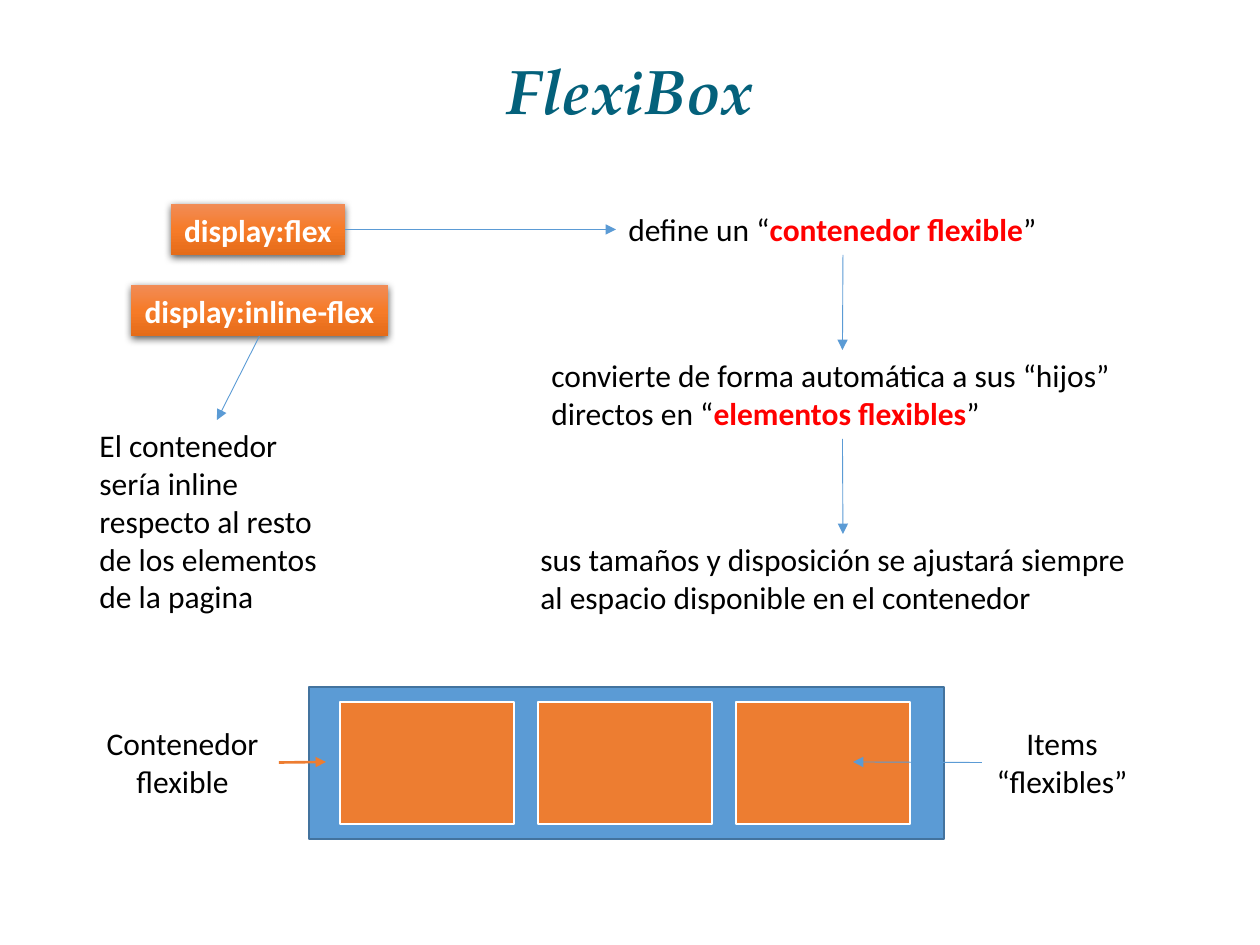
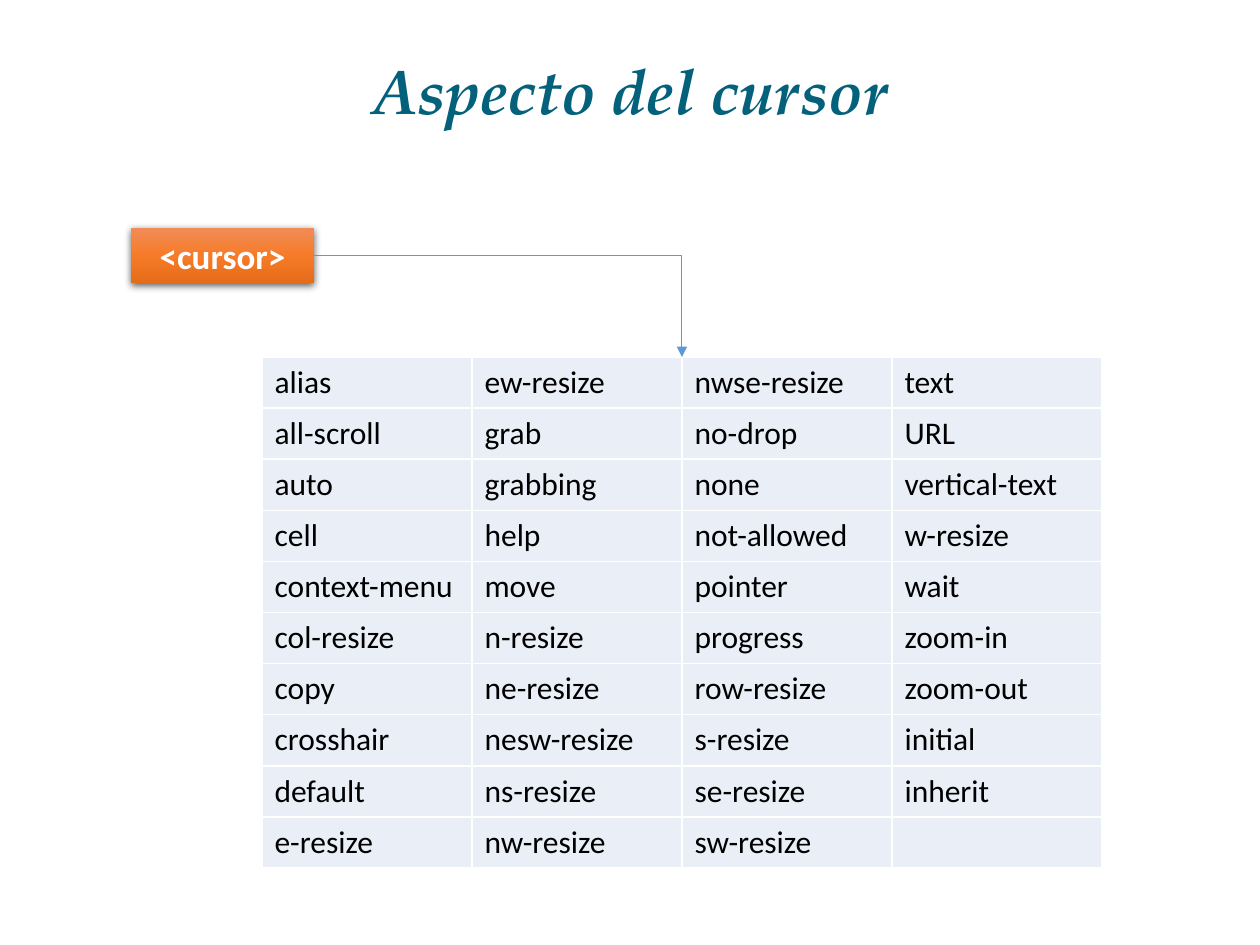
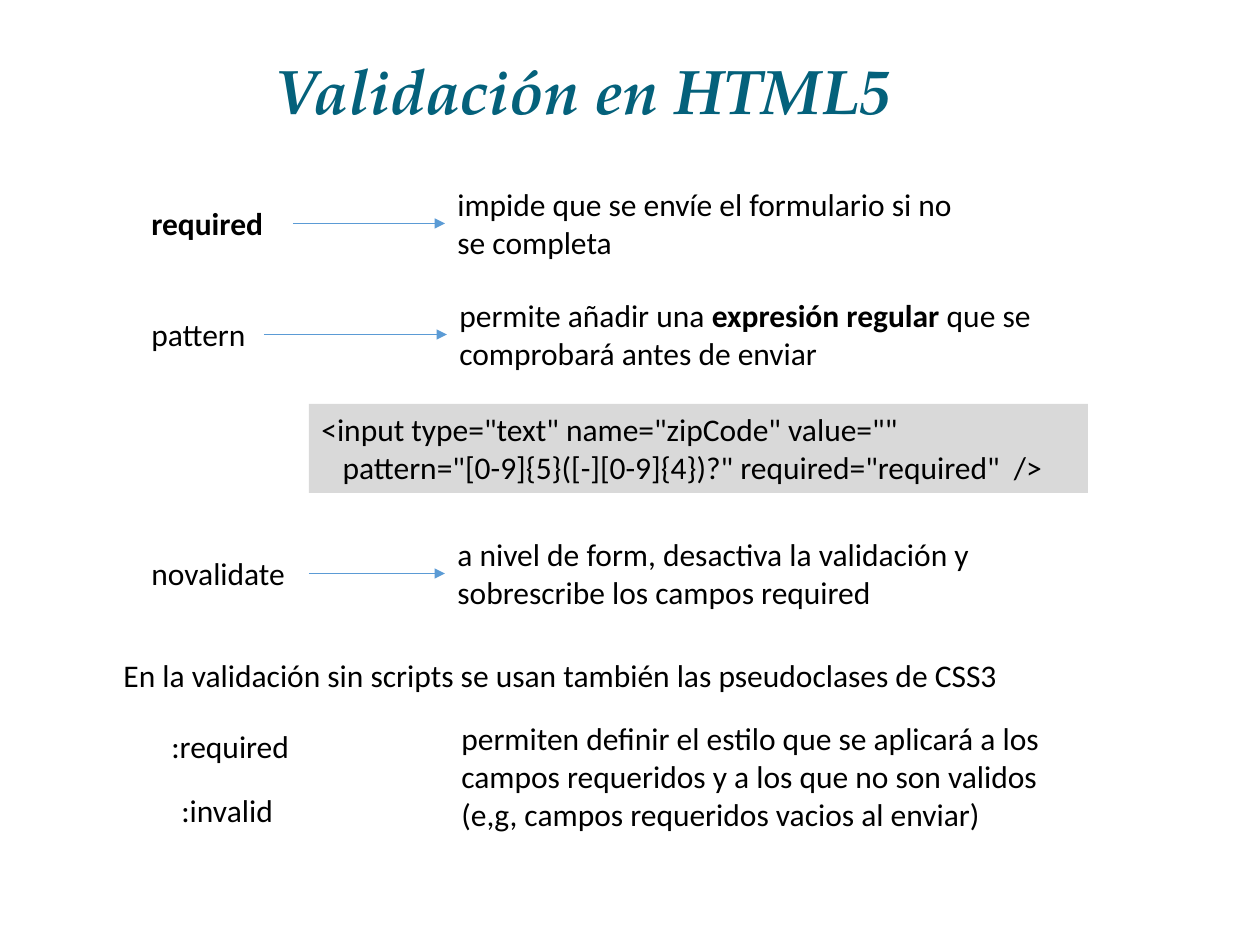
from dataclasses import dataclass

from lxml.etree import SubElement
from pptx import Presentation
from pptx.dml.color import RGBColor
from pptx.enum.shapes import MSO_CONNECTOR, MSO_SHAPE
from pptx.enum.text import MSO_ANCHOR, PP_ALIGN
from pptx.oxml.ns import qn
from pptx.util import Emu, Pt

TOP, LEFT, BOTTOM, RIGHT = range(4)
TITLE_ONLY = 5
LINE = 51
TWO_LINES = 89


@dataclass(frozen=True)
class Theme:
    title_font: str = "TeX Gyre Pagella"
    body_font: str = "Calibri"
    title_size: int = 36
    button_size: int = 20
    body_size: int = 18
    title: str = "04617B"
    text: str = "000000"
    alert: str = "FF0000"
    white: str = "FFFFFF"
    blue: str = "5B9BD5"
    dark_blue: str = "43739E"
    orange: str = "ED7D31"
    pale_blue: str = "EAEFF7"
    code_grey: str = "D9D9D9"
    button_stops: tuple = ((0, "F18C57"), (50, "F67B28"), (100, "E56C19"))


THEME = Theme()


@dataclass(frozen=True)
class Box:
    left: int
    top: int
    width: int
    height: int

    def inner(self, left, top, width, height):
        """Return a box whose corner is measured from this box."""
        return Box(self.left + left, self.top + top, width, height)

    def point(self, left, top):
        return self.left + left, self.top + top

    def emu(self):
        return px(self.left), px(self.top), px(self.width), px(self.height)


def px(length):
    return Emu(round(length * 914400 / 126))


def rgb(code):
    return RGBColor.from_string(code)


def write(frame, text, *, size=THEME.body_size, font=THEME.body_font, color=THEME.text,
          bold=False, italic=False, accent=None, align=PP_ALIGN.LEFT, wrap=True, spacing=None):
    """Fill a text frame; newlines split paragraphs and ** marks emphasis."""
    frame.word_wrap = wrap
    for index, line in enumerate(text.split("\n")):
        para = frame.add_paragraph() if index else frame.paragraphs[0]
        para.alignment = align
        if spacing:
            para.line_spacing = spacing
        for number, piece in enumerate(line.split("**")):
            if not piece:
                continue
            strong = number % 2 == 1
            span = para.add_run()
            span.text = piece
            span.font.name = font
            span.font.size = Pt(size)
            span.font.bold = bold or strong
            span.font.italic = italic
            span.font.color.rgb = rgb(accent if strong and accent else color)


def add_label(page, box, text, fill=None, **style):
    label = page.shapes.add_textbox(*box.emu())
    if fill:
        label.fill.solid()
        label.fill.fore_color.rgb = rgb(fill)
    write(label.text_frame, text, **style)
    return label


def add_block(page, box, fill, line, width):
    block = page.shapes.add_shape(MSO_SHAPE.RECTANGLE, *box.emu())
    block.shadow.inherit = False
    block.fill.solid()
    block.fill.fore_color.rgb = rgb(fill)
    block.line.color.rgb = rgb(line)
    block.line.width = Pt(width)
    return block


def add_button(page, box, text, **style):
    """Add an orange gradient rectangle with a soft shadow below it."""
    button = page.shapes.add_shape(MSO_SHAPE.RECTANGLE, *box.emu())
    button.line.fill.background()
    button.fill.gradient()
    button.fill.gradient_angle = 270
    properties = button.element.spPr
    stops = properties.find(qn("a:gradFill")).find(qn("a:gsLst"))
    stops.clear()
    for position, color in THEME.button_stops:
        stop = SubElement(stops, qn("a:gs"), pos=str(position * 1000))
        SubElement(stop, qn("a:srgbClr"), val=color)
    button.shadow.inherit = False
    shadow = SubElement(properties.find(qn("a:effectLst")), qn("a:outerShdw"),
                        blurRad=str(Pt(4.5)), dist=str(Pt(1.5)), dir="5400000",
                        algn="ctr", rotWithShape="0")
    shade = SubElement(shadow, qn("a:srgbClr"), val="000000")
    SubElement(shade, qn("a:alpha"), val="63000")
    write(button.text_frame, text, color=THEME.white, bold=True,
          align=PP_ALIGN.CENTER, wrap=False, **style)
    return button


def side_middle(shape, side):
    across = {LEFT: 0, RIGHT: shape.width}.get(side, shape.width // 2)
    down = {TOP: 0, BOTTOM: shape.height}.get(side, shape.height // 2)
    return shape.left + across, shape.top + down


def add_arrow(page, start, end, color=THEME.blue, width=0.5, bent=False):
    """Draw an arrow; each end is an (x, y) point or a (shape, side) pair."""
    ends = [(px(a), px(b)) if isinstance(a, int) else side_middle(a, b)
            for a, b in (start, end)]
    kind = MSO_CONNECTOR.ELBOW if bent else MSO_CONNECTOR.STRAIGHT
    arrow = page.shapes.add_connector(kind, *ends[0], *ends[1])
    properties = arrow.element.spPr
    if bent:
        properties.find(qn("a:prstGeom")).set("prst", "bentConnector2")
    else:
        for (target, side), connect in ((start, arrow.begin_connect), (end, arrow.end_connect)):
            if not isinstance(target, int):
                connect(target, side)
    arrow.line.color.rgb = rgb(color)
    arrow.line.width = Pt(width)
    SubElement(properties.find(qn("a:ln")), qn("a:tailEnd"), type="triangle")
    SubElement(properties, qn("a:effectLst"))


def add_page(deck, title, width=1086):
    page = deck.slides.add_slide(deck.slide_layouts[TITLE_ONLY])
    holder = page.shapes.title
    holder.left, holder.top, holder.width, holder.height = Box(87, 50, width, 88).emu()
    holder.text_frame.vertical_anchor = MSO_ANCHOR.MIDDLE
    write(holder.text_frame, title, size=THEME.title_size, font=THEME.title_font,
          color=THEME.title, bold=True, italic=True, align=PP_ALIGN.CENTER, spacing=0.9)
    return page


def draw_display_values(page, box):
    flex = add_button(page, box.inner(84, 0, 174, LINE), "display:flex")
    inline = add_button(page, box.inner(44, 81, 257, LINE), "display:inline-flex")
    inline_note = add_label(page, box.inner(0, 216, 260, 204),
                            "El contenedor sería inline respecto al resto "
                            "de los elementos de la pagina")
    add_arrow(page, (inline, BOTTOM), (inline_note, TOP))

    steps = (
        (box.inner(529, 0, 454, LINE), "define un “**contenedor flexible**”"),
        (box.inner(452, 146, 607, TWO_LINES),
         "convierte de forma automática a sus “hijos” directos en “**elementos flexibles**”"),
        (box.inner(441, 330, 630, TWO_LINES),
         "sus tamaños y disposición se ajustará siempre al espacio disponible en el contenedor"),
    )
    source, side = flex, RIGHT
    for step_box, text in steps:
        step = add_label(page, step_box, text, accent=THEME.alert)
        add_arrow(page, (source, side), (step, LEFT if side == RIGHT else TOP))
        source, side = step, BOTTOM


def draw_container(page, box):
    add_block(page, box.inner(223, 0, 635, 152), THEME.blue, THEME.dark_blue, 1)
    for column in range(3):
        add_block(page, box.inner(254 + column * 198, 15, 174, 122),
                  THEME.orange, THEME.white, 1.5)
    container = add_label(page, box.inner(0, 31, 193, TWO_LINES),
                          "Contenedor flexible", align=PP_ALIGN.CENTER)
    items = add_label(page, box.inner(896, 31, 160, TWO_LINES),
                      "Items “flexibles”", align=PP_ALIGN.CENTER)
    add_arrow(page, (container, RIGHT), box.point(240, 75), THEME.orange, 1.5)
    add_arrow(page, (items, LEFT), box.point(767, 75))


CURSORS = (
    ("alias", "ew-resize", "nwse-resize", "text"),
    ("all-scroll", "grab", "no-drop", "URL"),
    ("auto", "grabbing", "none", "vertical-text"),
    ("cell", "help", "not-allowed", "w-resize"),
    ("context-menu", "move", "pointer", "wait"),
    ("col-resize", "n-resize", "progress", "zoom-in"),
    ("copy", "ne-resize", "row-resize", "zoom-out"),
    ("crosshair", "nesw-resize", "s-resize", "initial"),
    ("default", "ns-resize", "se-resize", "inherit"),
    ("e-resize", "nw-resize", "sw-resize", ""),
)


def draw_cursor_table(page, box):
    table = page.shapes.add_table(len(CURSORS), len(CURSORS[0]), *box.emu()).table
    table.first_row = table.horz_banding = False
    for row, values in enumerate(CURSORS):
        for column, value in enumerate(values):
            cell = table.cell(row, column)
            cell.fill.solid()
            cell.fill.fore_color.rgb = rgb(THEME.pale_blue)
            write(cell.text_frame, value)


def draw_attributes(page, box):
    rows = (
        ("**required**", 19, 154, 306, 552,
         "impide que se envíe el formulario si no se completa"),
        ("pattern", 130, 125, 308, 678,
         "permite añadir una **expresión regular **que se comprobará antes de enviar"),
        ("novalidate", 369, 170, 306, 626,
         "a nivel de form, desactiva la validación y sobrescribe los campos required"),
    )
    for name, top, name_width, left, width, meaning in rows:
        attribute = add_label(page, box.inner(0, top, name_width, LINE), name)
        effect = add_label(page, box.inner(left, top - 19, width, TWO_LINES), meaning)
        add_arrow(page, (attribute, RIGHT), (effect, LEFT))
    add_label(page, box.inner(170, 225, 779, TWO_LINES),
              '<input type="text" name="zipCode" value=""\n'
              '   pattern="[0-9]{5}([-][0-9]{4})?" required="required"  />',
              fill=THEME.code_grey)


def draw_pseudoclasses(page, box):
    add_label(page, box.inner(0, 0, 1029, LINE),
              "En la validación sin scripts se usan también las pseudoclases de CSS3")
    add_label(page, box.inner(48, 71, 151, LINE), ":required")
    add_label(page, box.inner(58, 135, 125, LINE), ":invalid")
    add_label(page, box.inner(338, 63, 645, 127),
              "permiten definir el estilo que se aplicará a los campos requeridos "
              "y a los que no son validos (e,g, campos requeridos vacios al enviar)")


def build_flexbox(deck):
    page = add_page(deck, "FlexiBox")
    draw_display_values(page, Box(87, 204, 1071, 420))
    draw_container(page, Box(86, 687, 1056, 152))


def build_cursor(deck):
    page = add_page(deck, "Aspecto del cursor")
    button = add_button(page, Box(131, 228, 183, 55), "<cursor>", size=THEME.button_size)
    table_box = Box(262, 357, 840, 510)
    draw_cursor_table(page, table_box)
    add_arrow(page, (button, RIGHT), table_box.point(420, 0), bent=True)


def build_validation(deck):
    page = add_page(deck, "Validación en HTML5", width=993)
    draw_attributes(page, Box(139, 179, 986, 439))
    draw_pseudoclasses(page, Box(111, 650, 1029, 190))


def main():
    deck = Presentation()
    deck.slide_width, deck.slide_height = px(1260), px(945)
    for build in (build_flexbox, build_cursor, build_validation):
        build(deck)
    deck.save("out.pptx")


if __name__ == "__main__":
    main()
